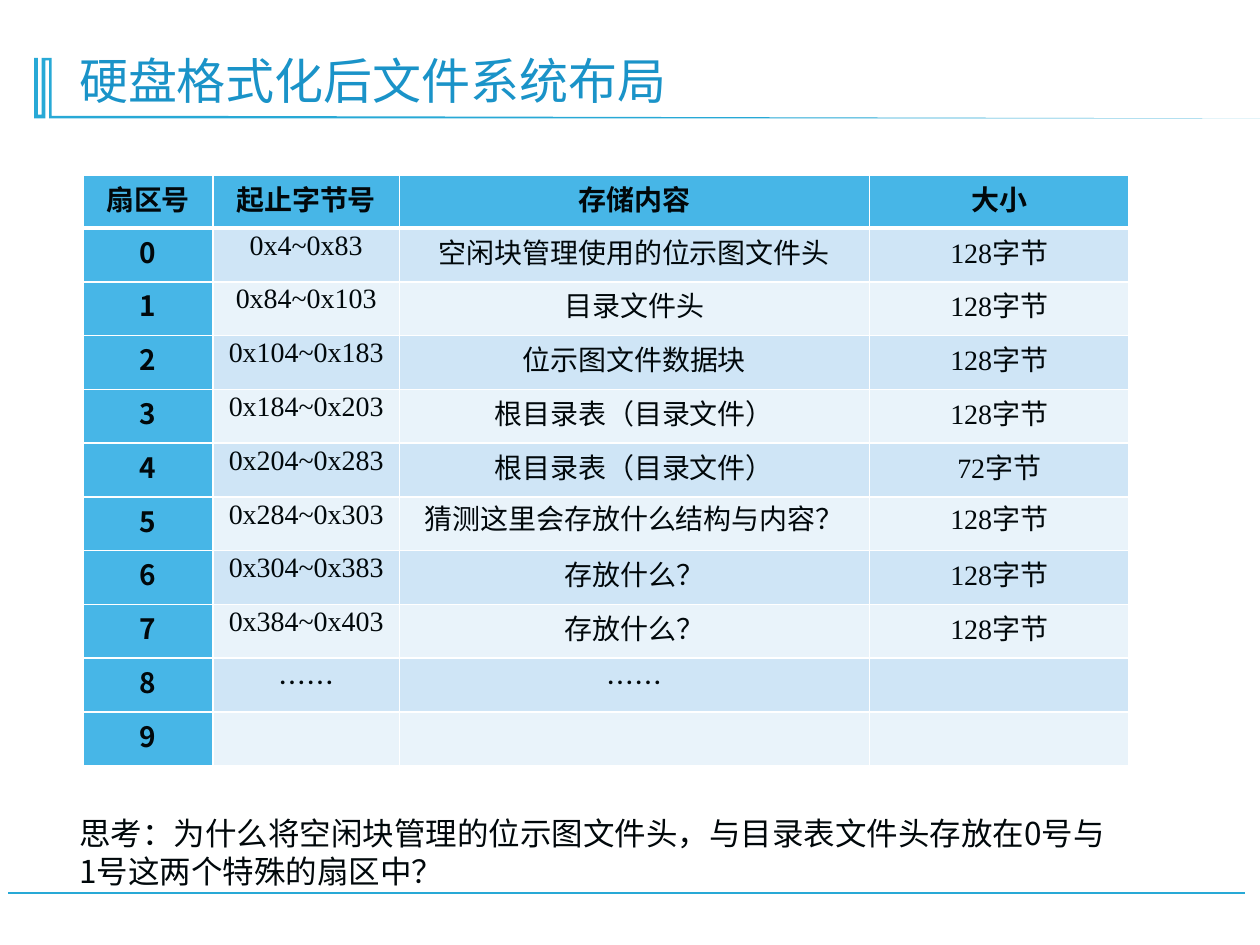
from dataclasses import dataclass

from lxml import etree
from pptx import Presentation
from pptx.dml.color import RGBColor
from pptx.enum.shapes import MSO_CONNECTOR
from pptx.enum.text import MSO_ANCHOR, PP_ALIGN
from pptx.oxml.ns import qn
from pptx.util import Inches, Pt

CENTER = PP_ALIGN.CENTER
LEFT = PP_ALIGN.LEFT
TOP = MSO_ANCHOR.TOP
BOTTOM = MSO_ANCHOR.BOTTOM
STRAIGHT = MSO_CONNECTOR.STRAIGHT


@dataclass(frozen=True)
class Theme:
    title: str = "1A93C8"
    accent: str = "28A9D6"
    ink: str = "01080B"
    header: str = "47B6E7"
    bands: tuple = ("CFE5F6", "E9F3FA")
    border: str = "FFFFFF"
    sans: str = "Noto Sans CJK SC"
    serif: str = "Times New Roman"
    title_size: int = 28
    note_size: int = 18
    table_size: int = 16


@dataclass(frozen=True)
class Sector:
    byte_range: str = ""
    content: str = ""
    size: str = ""
    font: str = Theme.serif
    content_font: str = Theme.serif
    spacing: float = 1.07


THEME = Theme()
HEADINGS = ("扇区号", "起止字节号", "存储内容", "大小")
SECTORS = (
    Sector("0x4~0x83", "空闲块管理使用的位示图文件头", "128字节"),
    Sector("0x84~0x103", "目录文件头", "128字节"),
    Sector("0x104~0x183", "位示图文件数据块", "128字节"),
    Sector("0x184~0x203", "根目录表（目录文件）", "128字节"),
    Sector("0x204~0x283", "根目录表（目录文件）", "72字节"),
    Sector("0x284~0x303", "猜测这里会存放什么结构与内容？", "128字节", spacing=1.0),
    Sector("0x304~0x383", "存放什么？", "128字节", content_font=THEME.sans),
    Sector("0x384~0x403", "存放什么？", "128字节", content_font=THEME.sans),
    Sector("……", "……", font=THEME.sans, content_font=THEME.sans),
    Sector(),
)
COLUMN_WIDTHS = (1.03, 1.48, 3.73, 2.06)
TABLE_HEIGHT = 4.69
HEADER_HEIGHT = 0.42
TITLE_RULE = (
    (0.41, 0.46), (0.41, 0.92), (1.4, 0.92), (10.09, 0.94), (0.39, 0.94),
    (0.39, 0.48), (0.36, 0.48), (0.36, 0.94), (0.27, 0.94), (0.27, 0.46),
    (0.3, 0.46), (0.3, 0.91), (0.33, 0.91), (0.33, 0.46),
)


def write(frame, text: str, *, size: float, color: str, font: str,
          bold: bool = False, align=LEFT, spacing: float = 1.0) -> None:
    paragraph = frame.paragraphs[0]
    paragraph.alignment = align
    paragraph.line_spacing = spacing
    run = paragraph.add_run()
    run.text = text
    run.font.size = Pt(size)
    run.font.bold = bold
    run.font.name = font
    run.font.color.rgb = RGBColor.from_string(color)
    east_asian = etree.SubElement(run.font._element, qn("a:ea"))
    east_asian.set("typeface", THEME.sans)


def add_text(slide, left: float, top: float, width: float, height: float,
             text: str, anchor=TOP, **style) -> None:
    frame = slide.shapes.add_textbox(
        Inches(left), Inches(top), Inches(width), Inches(height)).text_frame
    frame.word_wrap = True
    frame.vertical_anchor = anchor
    write(frame, text, **style)


def add_footer_rule(slide) -> None:
    rule = slide.shapes.add_connector(
        STRAIGHT, Inches(9.88), Inches(7.09), Inches(0.06), Inches(7.09))
    rule.line.color.rgb = RGBColor.from_string(THEME.accent)
    rule.line.width = Pt(1.25)
    etree.SubElement(rule._element.spPr, qn("a:effectLst"))


def add_title_rule(slide) -> None:
    start, *rest = [(Inches(x), Inches(y)) for x, y in TITLE_RULE]
    builder = slide.shapes.build_freeform(*start)
    builder.add_line_segments(rest, close=True)
    ornament = builder.convert_to_shape()
    ornament.shadow.inherit = False
    ornament.fill.solid()
    ornament.fill.fore_color.rgb = RGBColor.from_string(THEME.accent)
    ornament.line.fill.background()


def set_borders(cell, top: float, bottom: float) -> None:
    properties = cell._tc.get_or_add_tcPr()
    widths = {"a:lnL": 1, "a:lnR": 1, "a:lnT": top, "a:lnB": bottom}
    for position, (side, width) in enumerate(widths.items()):
        line = etree.Element(qn(side), w=str(Pt(width)))
        fill = etree.SubElement(line, qn("a:solidFill"))
        etree.SubElement(fill, qn("a:srgbClr"), val=THEME.border)
        properties.insert(position, line)


def fill_cell(cell, text: str, fill: str, font: str, bold: bool = False,
              spacing: float = 1.07, top: float = 1, bottom: float = 1) -> None:
    cell.margin_left = cell.margin_right = Inches(0.07)
    cell.margin_top = cell.margin_bottom = 0
    cell.fill.solid()
    cell.fill.fore_color.rgb = RGBColor.from_string(fill)
    set_borders(cell, top, bottom)
    if text:
        write(cell.text_frame, text, size=THEME.table_size, color=THEME.ink,
              font=font, bold=bold, align=CENTER, spacing=spacing)


def add_sector_table(slide) -> None:
    table = slide.shapes.add_table(
        len(SECTORS) + 1, len(HEADINGS), Inches(0.66), Inches(1.39),
        Inches(sum(COLUMN_WIDTHS)), Inches(TABLE_HEIGHT)).table
    for column, width in zip(table.columns, COLUMN_WIDTHS):
        column.width = Inches(width)
    sector_height = (TABLE_HEIGHT - HEADER_HEIGHT) / len(SECTORS)
    for index, row in enumerate(table.rows):
        row.height = Inches(sector_height if index else HEADER_HEIGHT)

    # Header row
    for column, heading in enumerate(HEADINGS):
        fill_cell(table.cell(0, column), heading, THEME.header, THEME.sans,
                  bold=True, bottom=3)

    # One banded row per sector
    for number, sector in enumerate(SECTORS):
        row = number + 1
        top = 1 if number else 3
        band = THEME.bands[number % 2]
        fill_cell(table.cell(row, 0), str(number), THEME.header, THEME.sans,
                  bold=True, top=top)
        fill_cell(table.cell(row, 1), sector.byte_range, band, sector.font,
                  top=top)
        fill_cell(table.cell(row, 2), sector.content, band,
                  sector.content_font, spacing=sector.spacing, top=top)
        fill_cell(table.cell(row, 3), sector.size, band, sector.font,
                  spacing=sector.spacing, top=top)


def main() -> None:
    presentation = Presentation()
    presentation.slide_width = Inches(10)
    presentation.slide_height = Inches(7.5)
    slide = presentation.slides.add_slide(presentation.slide_layouts[6])

    # Frame and title
    add_footer_rule(slide)
    add_title_rule(slide)
    add_text(slide, 0.53, 0.28, 8.85, 0.64, "硬盘格式化后文件系统布局",
             anchor=BOTTOM, size=THEME.title_size, color=THEME.title,
             font=THEME.serif, spacing=0.9)

    # Sector layout and question
    add_sector_table(slide)
    add_text(slide, 0.53, 6.41, 8.43, 0.71,
             "思考：为什么将空闲块管理的位示图文件头，"
             "与目录表文件头存放在0号与1号这两个特殊的扇区中？",
             size=THEME.note_size, color=THEME.ink, font=THEME.sans)

    presentation.save("out.pptx")


if __name__ == "__main__":
    main()
